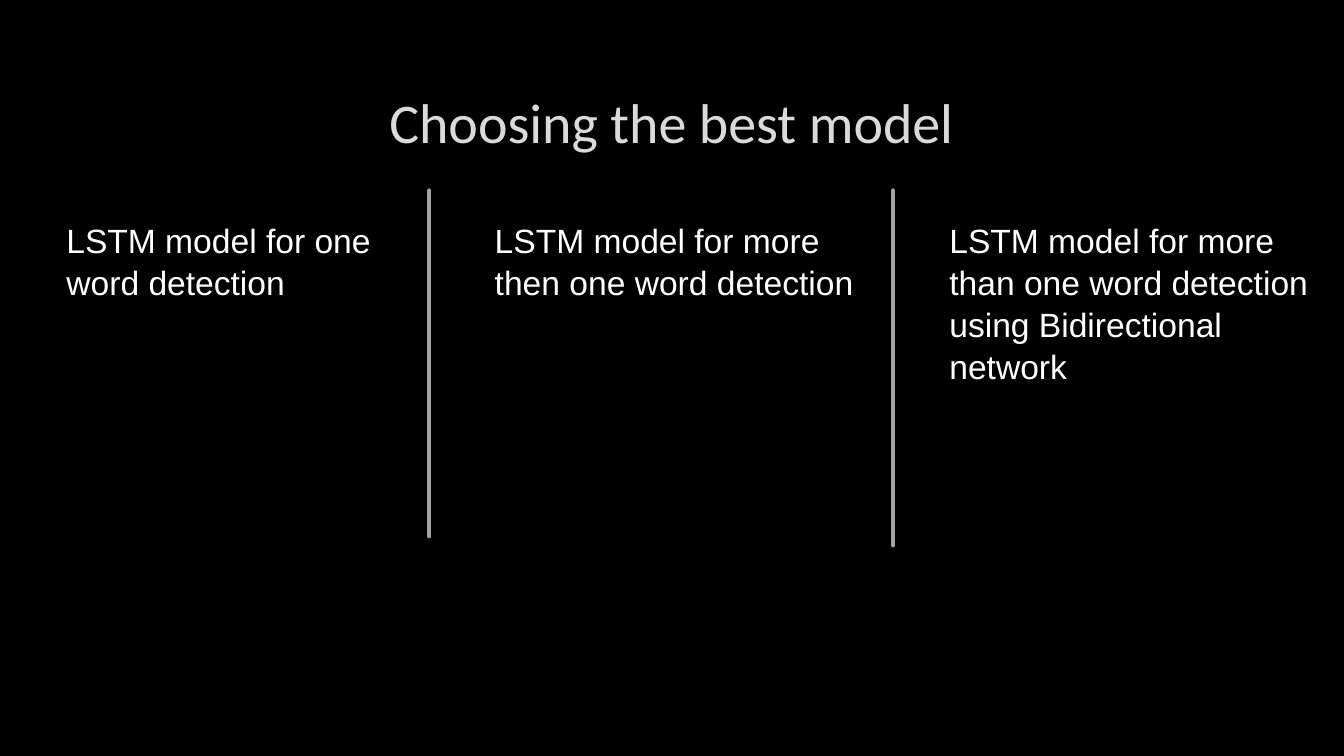
from lxml import etree
from pptx import Presentation
from pptx.dml.color import RGBColor
from pptx.enum.shapes import MSO_CONNECTOR
from pptx.enum.text import MSO_ANCHOR, PP_ALIGN
from pptx.oxml.ns import qn
from pptx.util import Pt

STRAIGHT = MSO_CONNECTOR.STRAIGHT
MIDDLE, TOP = MSO_ANCHOR.MIDDLE, MSO_ANCHOR.TOP
CENTER, LEFT = PP_ALIGN.CENTER, PP_ALIGN.LEFT

TITLE = {"name": "Calibri", "size": Pt(40)}
BODY = {"name": "Arial", "size": Pt(24)}
COLUMN_TOP = 152.64
DIVIDER_TOP = 136.08
COLUMNS = [
    (40.32, 274.32, 131.04, ["LSTM model for one word detection"]),
    (346.32, 274.32, 65.52, ["LSTM model for more then one word detection"]),
    (671.04, 288.72, 123.84,
     ["LSTM model for more than one word detection using Bidirectional", "network"]),
]
DIVIDERS = [(306.72, 383.04), (637.92, 389.52)]


def color(value):
    """Turn a hex string into a colour."""
    return RGBColor.from_string(value)


def add_text(page, bounds, lines, font, ink, align=LEFT, anchor=TOP, spacing=1.0):
    """Add a wrapped text box with one paragraph per line and return its spans."""
    box = page.shapes.add_textbox(*map(Pt, bounds))
    frame = box.text_frame
    frame.word_wrap = True
    frame.vertical_anchor = anchor
    spans = []
    for index, line in enumerate(lines):
        para = frame.add_paragraph() if index else frame.paragraphs[0]
        para.alignment = align
        para.line_spacing = spacing
        span = para.add_run()
        span.text = line
        for key, value in font.items():
            setattr(span.font, key, value)
        span.font.color.rgb = color(ink)
        spans.append(span)
    return spans


def outline_text(span, ink, width, opacity):
    """Give a run a thin, partly transparent outline."""
    line = etree.Element(qn("a:ln"), w=str(Pt(width)))
    fill = etree.SubElement(line, qn("a:solidFill"))
    tint = etree.SubElement(fill, qn("a:srgbClr"), val=ink)
    etree.SubElement(tint, qn("a:alpha"), val=str(opacity * 1000))
    span.font._element.insert(0, line)


def add_divider(page, x, bottom):
    """Add a vertical round-capped line between two columns."""
    divider = page.shapes.add_connector(
        STRAIGHT, Pt(x), Pt(DIVIDER_TOP), Pt(x), Pt(bottom))
    divider.line.color.rgb = color("A3A3A3")
    divider.line.width = Pt(3)
    properties = divider._element.spPr
    properties.find(qn("a:ln")).set("cap", "rnd")
    etree.SubElement(properties, qn("a:effectLst"))


def main():
    """Build the slide and save the deck."""
    deck = Presentation()
    deck.slide_width, deck.slide_height = Pt(960), Pt(540)
    page = deck.slides.add_slide(deck.slide_layouts[6])
    page.background.fill.solid()
    page.background.fill.fore_color.rgb = color("000000")
    title = add_text(page, (72, 48.24, 815.04, 76.32), ["Choosing the best model"],
                     TITLE, "DADADA", CENTER, MIDDLE)
    outline_text(title[0], "404040", 0.75, 10)
    for left, width, height, lines in COLUMNS:
        add_text(page, (left, COLUMN_TOP, width, height), lines, BODY, "FFFFFF",
                 spacing=1.04)
    for x, bottom in DIVIDERS:
        add_divider(page, x, bottom)
    deck.save("out.pptx")


if __name__ == "__main__":
    main()
